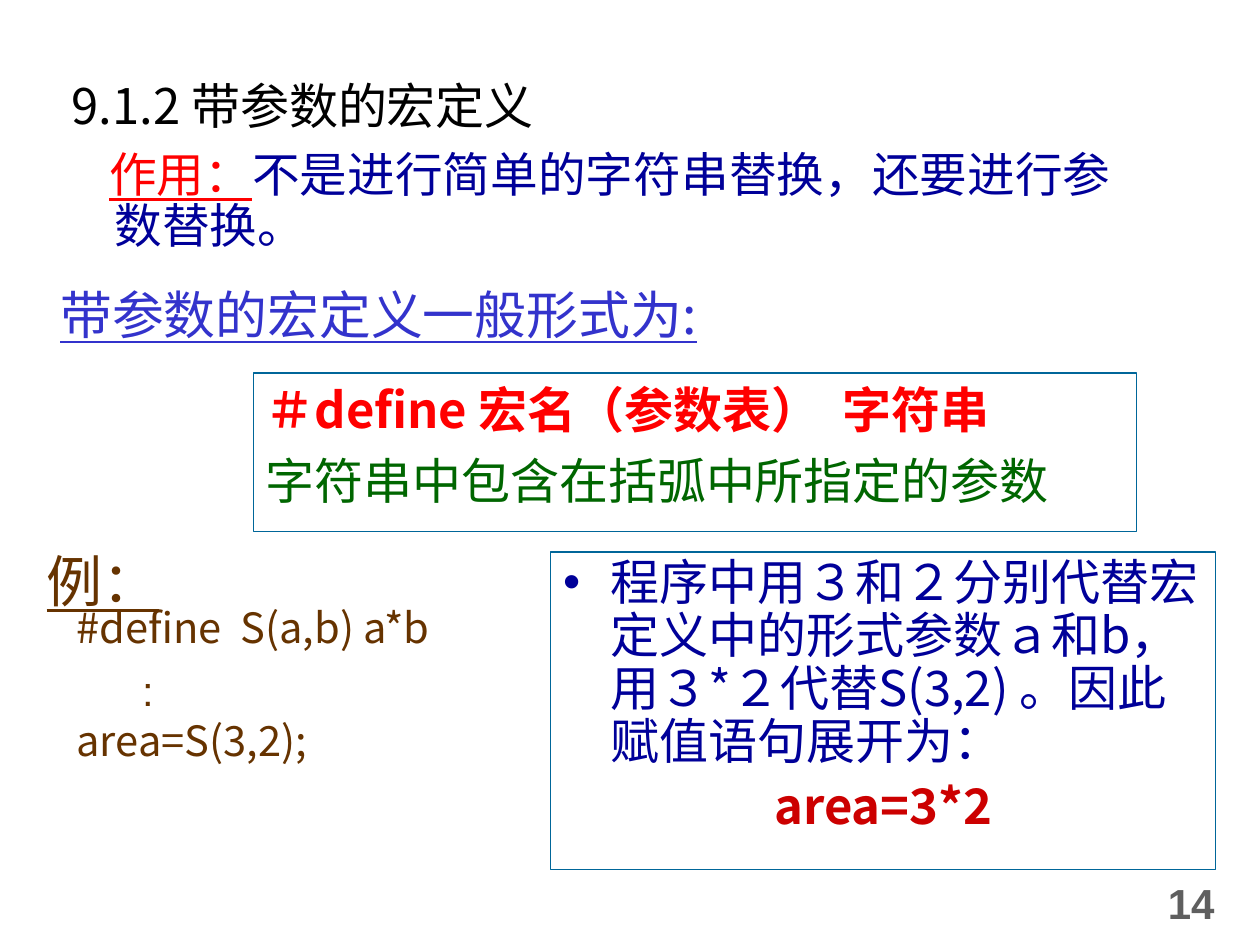
from lxml import etree
from pptx import Presentation
from pptx.dml.color import RGBColor
from pptx.enum.shapes import MSO_SHAPE
from pptx.enum.text import MSO_ANCHOR, PP_ALIGN
from pptx.oxml.ns import qn
from pptx.util import Inches, Pt

RECT = MSO_SHAPE.RECTANGLE
TOP, MIDDLE = MSO_ANCHOR.TOP, MSO_ANCHOR.MIDDLE
LEFT, CENTER = PP_ALIGN.LEFT, PP_ALIGN.CENTER
SANS, ARIAL, JP = "Noto Sans CJK SC", "Arial", "Noto Sans CJK JP"
HUES = {
    "black": "000000", "navy": "000099", "red": "FF0000", "blue": "3333CC",
    "green": "006600", "brown": "663300", "dark": "CC0000", "gray": "5F5F5F",
    "edge": "006699",
}

deck = Presentation()
deck.slide_width, deck.slide_height = Inches(10), Inches(7.5)
slide = deck.slides.add_slide(deck.slide_layouts[6])


def add_box(left, top, width, height, edge=False, inset=0.05, wrap=True, anchor=TOP):
    at = [Inches(n) for n in (left, top, width, height)]
    if edge:
        box = slide.shapes.add_shape(RECT, *at)
        box.shadow.inherit = False
        box.fill.background()
        box.line.color.rgb = RGBColor.from_string(HUES["edge"])
        box.line.width = Pt(0.74)
    else:
        box = slide.shapes.add_textbox(*at)
    frame = box.text_frame
    frame.word_wrap = wrap
    frame.vertical_anchor = anchor
    frame.margin_left = frame.margin_right = Inches(0.1)
    frame.margin_top, frame.margin_bottom = Inches(inset), Inches(0.05)
    return frame


def add_text(frame, text, size=28, hue="navy", font=SANS, bold=False, under=False,
             align=LEFT, margin=0, indent=0, line=0.9, before=0, after=0,
             bullet=None, join=False):
    para = frame.paragraphs[-1]
    if para.runs and not join:
        para = frame.add_paragraph()
    if not join:
        para.alignment, para.line_spacing = align, line
        para.space_before, para.space_after = Pt(before), Pt(after)
        props = para._p.get_or_add_pPr()
        props.set("marL", str(Inches(margin)))
        props.set("indent", str(Inches(indent)))
        if bullet:
            tint = etree.SubElement(props, qn("a:buClr"))
            etree.SubElement(tint, qn("a:srgbClr"), val=HUES[hue])
            etree.SubElement(props, qn("a:buFont"), typeface=ARIAL)
            etree.SubElement(props, qn("a:buChar"), char=bullet)
    run = para.add_run()
    run.text = text
    run.font.size, run.font.name = Pt(size), font
    run.font.bold, run.font.underline = bold, under
    run.font.color.rgb = RGBColor.from_string(HUES[hue])
    etree.SubElement(run.font._element, qn("a:ea"), typeface=font)


number = add_box(9.17, 6.83, 0.71, 0.67, wrap=False, anchor=MIDDLE)
add_text(number, "14", size=24, hue="gray", font=ARIAL, bold=True, line=1)

title = add_box(0.35, 0.44, 9.25, 0.81, inset=0.16)
add_text(title, "9.1.2 带参数的宏定义", hue="black", margin=0.12, line=1)

role = add_box(0.43, 1.15, 8.74, 1.02)
add_text(role, "作用：", size=27.2, hue="red", under=True, margin=0.38, indent=-0.04, before=8)
add_text(role, "不是进行简单的字符串替换，还要进行参数替换。", size=27.2, join=True)

form = add_box(0.2, 2.25, 8.03, 0.63)
add_text(form, "带参数的宏定义一般形式为:", size=29.6, hue="blue", under=True,
         margin=0.38, indent=-0.2, before=8)

rule = add_box(2.01, 2.96, 7.01, 1.26, edge=True)
for text, hue, bold in (("＃define 宏名（参数表）  字符串", "red", True),
                        ("字符串中包含在括弧中所指定的参数", "green", False)):
    add_text(rule, text, hue=hue, bold=bold, margin=0.38, indent=-0.38, line=1, before=7)

code = add_box(0.51, 4.77, 4.17, 1.81)
add_text(code, "#define  S(a,b) a*b", size=23.8, hue="brown")
add_text(code, ":", size=23.8, hue="brown", font=ARIAL, margin=0.52, before=10.5, after=3)
add_text(code, "area=S(3,2);", size=23.8, hue="brown")

note = add_box(4.37, 4.38, 5.28, 2.52, edge=True)
add_text(note, "程序中用３和２分别代替宏定义中的形式参数ａ和b，用３*２代替S(3,2) 。因此赋值语句展开为：",
         margin=0.38, indent=-0.38, before=7, bullet="•")
add_text(note, "area=3*2", hue="dark", bold=True, align=CENTER,
         margin=0.38, indent=-0.38, before=7)

label = add_box(0.27, 4.06, 1.09, 0.86, inset=0.17, wrap=False)
add_text(label, "例：", size=32, hue="brown", font=JP, under=True, align=CENTER,
         line=1.2, before=2)

deck.save("out.pptx")
